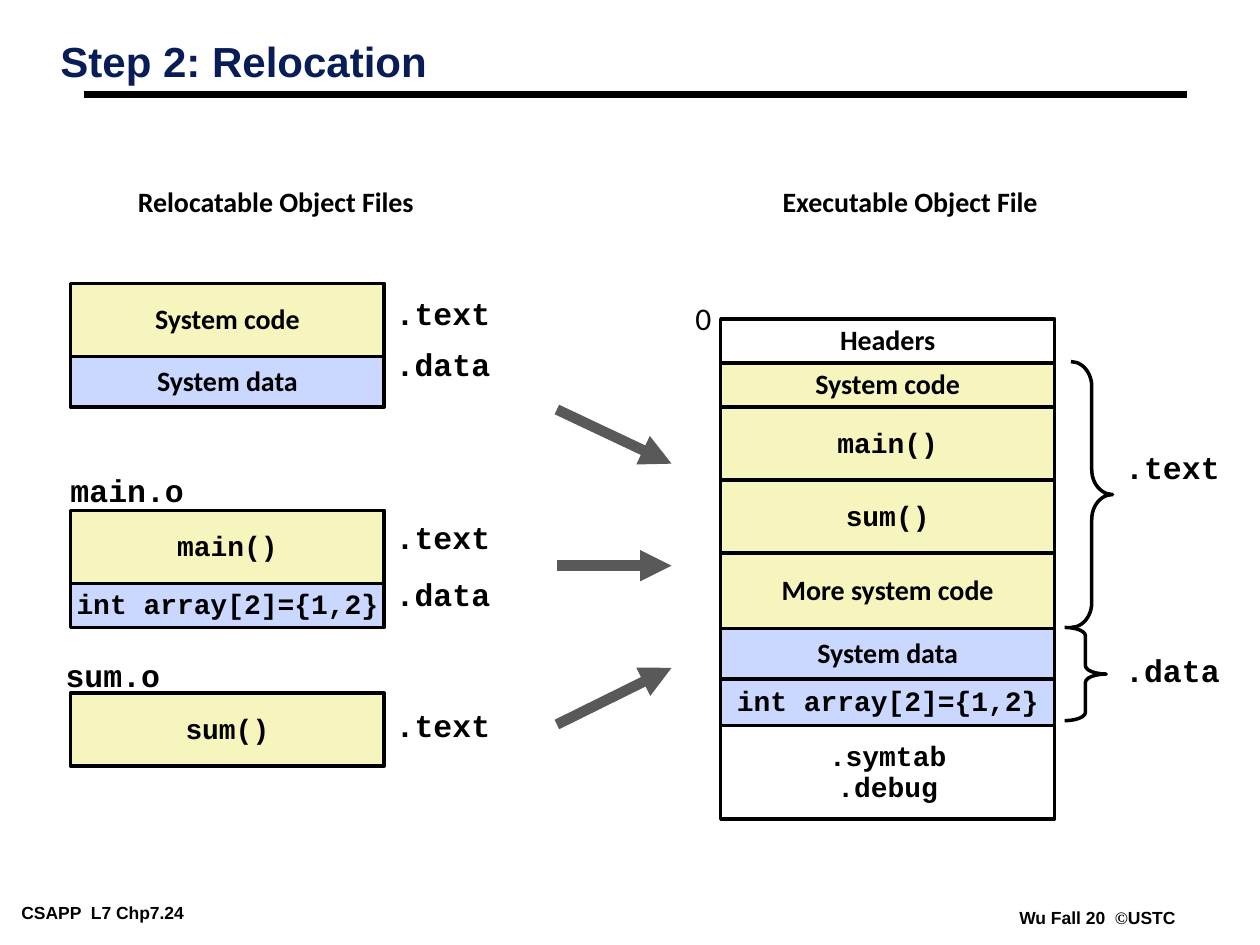
"""Build the slide on relocation of object files into an executable."""
from dataclasses import dataclass

from lxml import etree
from pptx import Presentation
from pptx import util as u
from pptx.dml.color import RGBColor
from pptx.enum import shapes, text
from pptx.oxml import ns


@dataclass(frozen=True)
class Theme:
    black: str = "000000"
    white: str = "FFFFFF"
    navy: str = "081D58"
    code: str = "F6F5BD"
    data: str = "CAD7FE"
    arrow: str = "595959"
    sans: str = "Calibri"
    mono: str = "Courier New"
    frame: str = "Arial"
    symbol: str = "Times New Roman"
    title: int = 24
    label: int = 18
    body: int = 16
    footer: int = 10


T = Theme()


@dataclass(frozen=True)
class Style:
    face: str
    size: int
    bold: bool = True
    color: str = T.black
    spacing: float = 1.0
    align: text.PP_ALIGN = text.PP_ALIGN.CENTER
    inset_x: float = 0.1
    inset_y: float = 0.05


SANS = Style(T.sans, T.body, spacing=0.98)
MONO = Style(T.mono, T.body, spacing=0.94)
LABEL = Style(T.mono, T.label, spacing=0.94)
ZERO = Style(T.sans, T.label, bold=False, spacing=0.98)
TITLE = Style(T.frame, T.title, color=T.navy, spacing=0.87,
              align=text.PP_ALIGN.LEFT, inset_x=0.07, inset_y=0.03)
FOOTER = Style(T.frame, T.footer, align=text.PP_ALIGN.LEFT, inset_x=0.07, inset_y=0.03)


@dataclass(frozen=True)
class Section:
    words: str
    height: float
    fill: str
    style: Style


@dataclass(frozen=True)
class Stack:
    left: float
    top: float
    width: float
    sections: tuple[Section, ...]


@dataclass(frozen=True)
class Label:
    words: str
    left: float
    top: float
    width: float
    height: float
    style: Style = LABEL
    wrap: bool = False


@dataclass(frozen=True)
class Line:
    x1: float
    y1: float
    x2: float
    y2: float
    color: str = T.arrow
    weight: float = 6
    head: bool = True


@dataclass(frozen=True)
class Brace:
    left: float
    top: float
    height: float
    curve: float


SYSTEM_CODE = Section("System code", 0.58, T.code, SANS)
SYSTEM_DATA = Section("System data", 0.4, T.data, SANS)
MAIN = Section("main()", 0.58, T.code, MONO)
SUM = Section("sum()", 0.58, T.code, MONO)
ARRAY = Section("int array[2]={1,2}", 0.35, T.data, MONO)

STACKS = (
    Stack(0.56, 2.25, 2.49, (SYSTEM_CODE, SYSTEM_DATA)),
    Stack(0.56, 4.05, 2.49, (MAIN, ARRAY)),
    Stack(0.56, 5.5, 2.49, (SUM,)),
    Stack(5.72, 2.53, 2.65, (
        Section("Headers", 0.35, T.white, SANS),
        Section("System code", 0.35, T.code, SANS),
        MAIN,
        SUM,
        Section("More system code", 0.6, T.code, SANS),
        SYSTEM_DATA,
        Section("int array[2]={1,2}", 0.37, T.data, MONO),
        Section(".symtab\n.debug", 0.74, T.white, MONO),
    )),
)
SECTION_LABELS = (
    (".text", 3.04, 2.31), (".data", 3.04, 2.71),
    (".text", 3.04, 4.09), (".data", 3.04, 4.54),
    (".text", 3.04, 5.58),
    (".text", 8.83, 3.53), (".data", 8.83, 5.14),
    ("sum.o", 0.42, 5.18),
)
LABELS = (
    Label("Step 2: Relocation", 0.41, 0.31, 8.31, 0.63, TITLE, wrap=True),
    Label("Relocatable Object Files", 0.99, 1.43, 2.4, 0.36, SANS),
    Label("Executable Object File", 6.11, 1.43, 2.23, 0.36, SANS),
    Label("main.o", 0.46, 3.71, 1.1, 0.38),
    Label("0", 5.42, 2.34, 0.32, 0.4, ZERO),
    Label("CSAPP  L7 Chp7.24", 0.1, 7.13, 1.95, 0.22, FOOTER),
    *(Label(words, x, y, 0.95, 0.38) for words, x, y in SECTION_LABELS),
)
CREDIT = Label("Wu Fall 20  ", 8.02, 7.17, 1.38, 0.22, FOOTER)
LINES = (
    Line(0.67, 0.75, 9.42, 0.75, T.black, 4.5, head=False),
    Line(4.42, 3.25, 5.33, 3.68),
    Line(4.42, 4.49, 5.33, 4.49),
    Line(4.42, 5.75, 5.33, 5.3),
)
BRACES = (Brace(8.5, 2.87, 2.11, 0.6), Brace(8.45, 4.98, 0.74, 0.2))


def format_run(r, style: Style, face: str) -> None:
    r.font.name = face
    r.font.size = u.Pt(style.size)
    r.font.bold = style.bold
    r.font.color.rgb = RGBColor.from_string(style.color)


def write(tf, words: str, style: Style) -> None:
    tf.text = words
    tf.margin_left = tf.margin_right = u.Inches(style.inset_x)
    tf.margin_top = tf.margin_bottom = u.Inches(style.inset_y)
    for p in tf.paragraphs:
        p.alignment = style.align
        p.line_spacing = style.spacing
        for r in p.runs:
            format_run(r, style, style.face)


def draw_label(s, label: Label):
    sp = s.shapes.add_textbox(u.Inches(label.left), u.Inches(label.top),
                              u.Inches(label.width), u.Inches(label.height))
    tf = sp.text_frame
    write(tf, label.words, label.style)
    tf.word_wrap = label.wrap
    tf.auto_size = text.MSO_AUTO_SIZE.SHAPE_TO_FIT_TEXT
    return sp


def draw_stack(s, stack: Stack) -> None:
    top = stack.top
    for section in stack.sections:
        sp = s.shapes.add_shape(shapes.MSO_SHAPE.RECTANGLE, u.Inches(stack.left), u.Inches(top),
                                u.Inches(stack.width), u.Inches(section.height))
        sp.shadow.inherit = False
        sp.fill.solid()
        sp.fill.fore_color.rgb = RGBColor.from_string(section.fill)
        sp.line.color.rgb = RGBColor.from_string(T.black)
        sp.line.width = u.Pt(2)
        write(sp.text_frame, section.words, section.style)
        sp.text_frame.word_wrap = False
        sp.text_frame.vertical_anchor = text.MSO_ANCHOR.MIDDLE
        top += section.height


def draw_line(s, line: Line) -> None:
    cxn = s.shapes.add_connector(shapes.MSO_CONNECTOR.STRAIGHT, u.Inches(line.x1),
                                 u.Inches(line.y1), u.Inches(line.x2), u.Inches(line.y2))
    cxn.line.color.rgb = RGBColor.from_string(line.color)
    cxn.line.width = u.Pt(line.weight)
    if line.head:
        etree.SubElement(cxn.line._get_or_add_ln(), ns.qn("a:tailEnd"), type="triangle")
    etree.SubElement(cxn._element.spPr, ns.qn("a:effectLst"))


def draw_brace(s, brace: Brace) -> None:
    sp = s.shapes.add_shape(shapes.MSO_SHAPE.RIGHT_BRACE, u.Inches(brace.left),
                            u.Inches(brace.top), u.Inches(0.33), u.Inches(brace.height))
    sp.shadow.inherit = False
    sp.adjustments[0] = brace.curve
    sp.fill.background()
    sp.line.color.rgb = RGBColor.from_string(T.black)
    sp.line.width = u.Pt(2)


def main() -> None:
    prs = Presentation()
    prs.slide_width, prs.slide_height = u.Inches(10), u.Inches(7.5)
    s = prs.slides.add_slide(prs.slide_layouts[6])
    for draw, items in ((draw_line, LINES), (draw_stack, STACKS),
                        (draw_brace, BRACES), (draw_label, LABELS)):
        for item in items:
            draw(s, item)
    p = draw_label(s, CREDIT).text_frame.paragraphs[0]
    for words, face in (("©", T.symbol), ("USTC", T.frame)):
        r = p.add_run()
        r.text = words
        format_run(r, FOOTER, face)
    prs.save("out.pptx")


if __name__ == "__main__":
    main()
